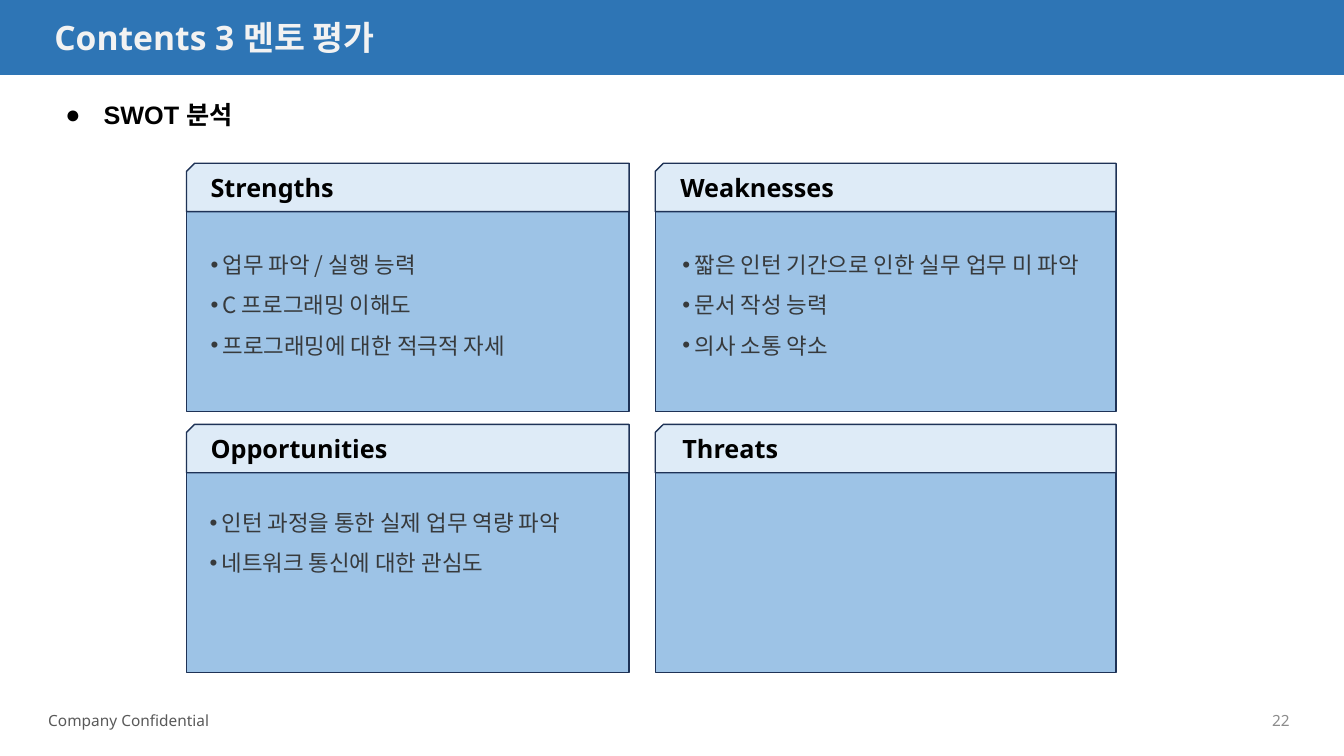
from lxml import etree
from pptx import Presentation
from pptx.dml.color import RGBColor
from pptx.enum.shapes import MSO_SHAPE
from pptx.enum.text import MSO_ANCHOR, PP_ALIGN
from pptx.oxml.ns import qn
from pptx.util import Inches, Pt

RECT, SNIP = MSO_SHAPE.RECTANGLE, MSO_SHAPE.SNIP_1_RECTANGLE
TOP, MIDDLE = MSO_ANCHOR.TOP, MSO_ANCHOR.MIDDLE
LEFT, RIGHT = PP_ALIGN.LEFT, PP_ALIGN.RIGHT
SANS, KOREAN, ARIAL = "Noto Sans", "Noto Sans CJK KR", "Arial"

COLORS = {
    "bar": "2E75B5", "title": "F2F2F2", "black": "000000", "body": "373A3C",
    "panel": "9DC3E6", "tab": "DEEBF7", "edge": "1E3256",
    "foot": "595959", "number": "8C8C8C",
}
STYLES = {
    "title": {"name": SANS, "size": Pt(24), "bold": True},
    "head": {"name": ARIAL, "size": Pt(18), "bold": True},
    "tab": {"name": SANS, "size": Pt(18), "bold": True},
    "body": {"name": KOREAN, "size": Pt(16), "bold": False},
    "foot": {"name": SANS, "size": Pt(11), "bold": False},
}
TAB_H, PANEL_H = 0.48, 1.98
ROWS = (1.62, 4.21)
COLS = ((1.85, 4.39), (6.5, 4.57))  # left, width

# heading, heading inset, list inset, list drop from the tab top, items
SWOT = [
    ("Strengths", 0.14, 0.14, 0.69,
     ["업무 파악 / 실행 능력", "C 프로그래밍 이해도", "프로그래밍에 대한 적극적 자세"]),
    ("Weaknesses", 0.15, 0.17, 0.69,
     ["짧은 인턴 기간으로 인한 실무 업무 미 파악", "문서 작성 능력", "의사 소통 약소"]),
    ("Opportunities", 0.14, 0.13, 0.66,
     ["인턴 과정을 통한 실제 업무 역량 파악", "네트워크 통신에 대한 관심도"]),
    ("Threats", 0.17, 0.17, 0.69, []),
]


def rgb(key):
    return RGBColor.from_string(COLORS[key])


def add_box(shapes, kind, box, fill, edge):
    shape = shapes.add_shape(kind, *map(Inches, box))
    shape.shadow.inherit = False
    shape.fill.solid()
    shape.fill.fore_color.rgb = rgb(fill)
    shape.line.color.rgb = rgb(edge)
    shape.line.width = Pt(1)
    return shape


def add_bullet(para, char, indent):
    props = para._p.get_or_add_pPr()
    props.set("marL", str(Inches(indent)))
    props.set("indent", str(-Inches(indent)))
    etree.SubElement(props, qn("a:buFont")).set("typeface", ARIAL)
    etree.SubElement(props, qn("a:buChar")).set("char", char)


def add_text(slide, box, lines, style, color, bullet=None, spacing=None,
             align=LEFT, anchor=TOP, wrap=True):
    frame = slide.shapes.add_textbox(*map(Inches, box)).text_frame
    frame.word_wrap = wrap
    frame.vertical_anchor = anchor
    for i, line in enumerate(lines):
        para = frame.add_paragraph() if i else frame.paragraphs[0]
        para.alignment = align
        if spacing:
            para.line_spacing = spacing
        if bullet:
            add_bullet(para, *bullet)
        run = para.add_run()
        run.text = line
        for key, value in STYLES[style].items():
            setattr(run.font, key, value)
        run.font.color.rgb = rgb(color)
        # Korean glyphs take the East Asian face
        props = run._r.get_or_add_rPr()
        etree.SubElement(props, qn("a:ea")).set("typeface", KOREAN)


def add_header(slide, box):
    x, y, w, h = box
    add_box(slide.shapes, RECT, box, "bar", "bar")
    add_text(slide, (x + 0.44, y + 0.12, 10.55, 0.5),
             ["Contents 3 멘토 평가"], "title", "title")


def add_panel(slide, box, head, head_in, list_in, drop, items):
    x, y, w, h = box
    group = slide.shapes.add_group_shape()
    add_box(group.shapes, RECT, (x, y + TAB_H, w, h - TAB_H), "panel", "edge")
    tab = add_box(group.shapes, SNIP, (x, y, w, TAB_H), "tab", "edge")
    tab._element.spPr.xfrm.set("flipH", "1")
    add_text(slide, (x + head_in, y + 0.04, 2, 0.4), [head], "tab", "black",
             wrap=False)
    if items:
        add_text(slide, (x + list_in, y + drop, w - list_in, 0.05 + 0.4 * len(items)),
                 items, "body", "body", bullet=("•", 0.12), spacing=1.5)


def add_matrix(slide):
    cells = [(x, y, w, TAB_H + PANEL_H) for y in ROWS for x, w in COLS]
    for cell, part in zip(cells, SWOT):
        add_panel(slide, cell, *part)


def add_footer(slide, box):
    x, y, w, h = box
    add_text(slide, (x, y, 3.27, h), ["Company Confidential"], "foot", "foot",
             anchor=MIDDLE)
    add_text(slide, (x + w - 3.47, y, 3.47, h), ["22"], "foot", "number",
             align=RIGHT, anchor=MIDDLE)


def main():
    deck = Presentation()
    deck.slide_width, deck.slide_height = Inches(13.33), Inches(7.5)
    slide = deck.slides.add_slide(deck.slide_layouts[6])
    add_header(slide, (0, 0, 13.33, 0.74))
    add_text(slide, (0.55, 0.85, 6.56, 0.46), ["SWOT 분석"], "head", "black",
             bullet=("●", 0.38), spacing=1.3)
    add_matrix(slide)
    add_footer(slide, (0.38, 6.95, 12.51, 0.4))
    deck.save("out.pptx")


if __name__ == "__main__":
    main()
